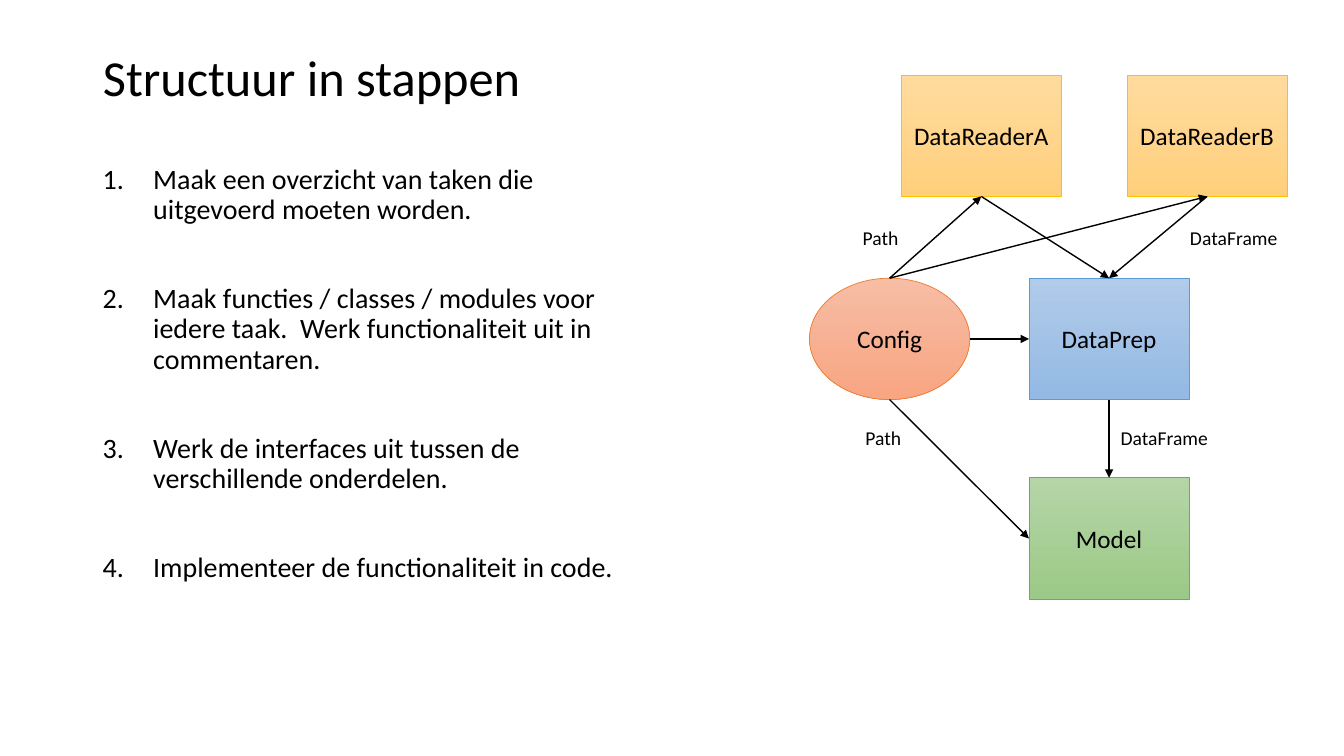
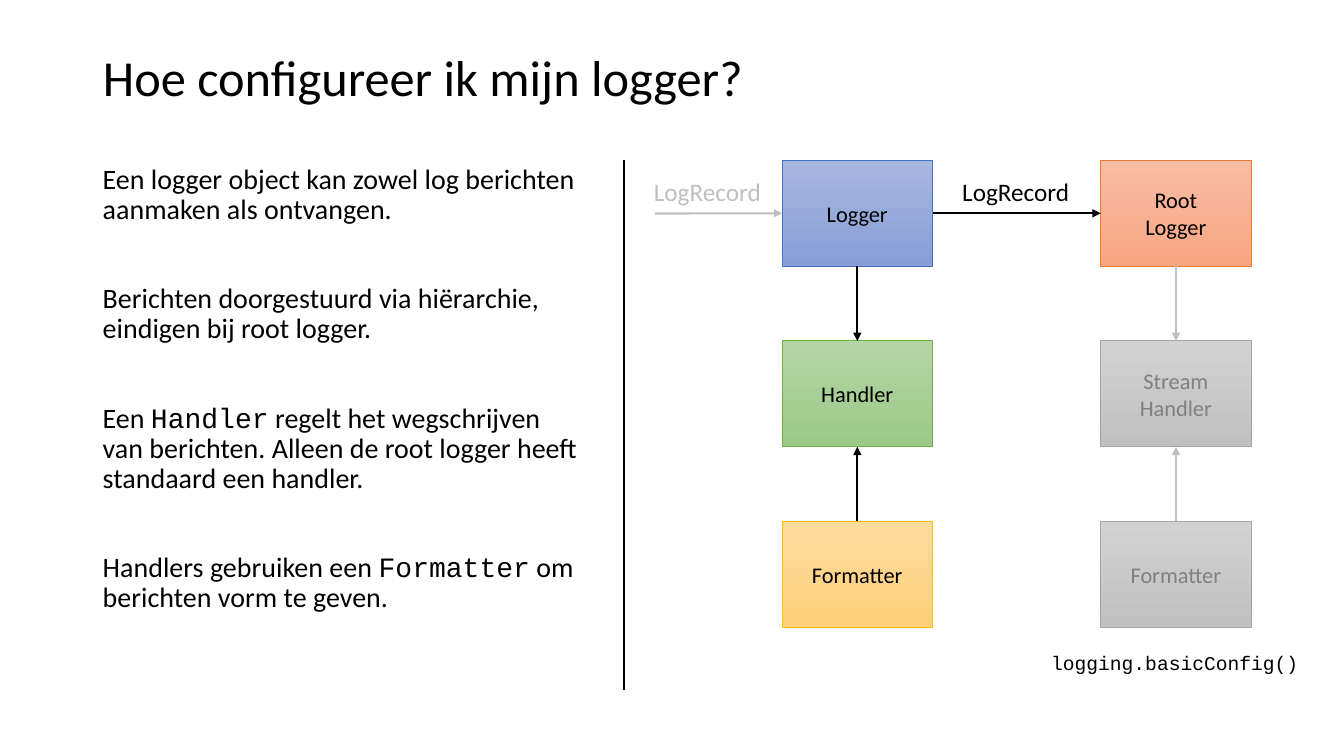
from dataclasses import dataclass
from enum import IntEnum
from typing import NamedTuple

from pptx import Presentation
from pptx.dml.color import RGBColor
from pptx.enum.shapes import MSO_CONNECTOR, MSO_SHAPE
from pptx.enum.text import MSO_ANCHOR as Anchor
from pptx.enum.text import MSO_AUTO_SIZE as AutoSize
from pptx.enum.text import PP_ALIGN as Align
from pptx.oxml.ns import qn
from pptx.oxml.xmlchemy import OxmlElement
from pptx.shapes.autoshape import Shape
from pptx.slide import Slide
from pptx.text.text import TextFrame
from pptx.util import Cm, Pt


# Theme
class Tint(NamedTuple):
    top: str
    bottom: str
    edge: str
    ink: str = "000000"


@dataclass(frozen=True)
class Theme:
    font: str = "Calibri"
    code_font: str = "Courier New"
    ink: str = "000000"
    faded: str = "BFBFBF"
    title_size: int = 36
    body_size: int = 20
    node_size: int = 18
    small_node_size: int = 16
    label_size: int = 14
    line_spacing: float = 0.9
    body_gap: int = 42
    yellow: Tint = Tint("FFDB9E", "FFD07C", "FFC000")
    blue: Tint = Tint("B1CBE9", "93B9E4", "5B9BD5")
    indigo: Tint = Tint("A8B7DF", "889ED7", "4472C4")
    green: Tint = Tint("B5D5A7", "9CC987", "70AD47")
    orange: Tint = Tint("F7BDA5", "F8A582", "ED7D31")
    grey: Tint = Tint("D2D2D2", "C0C0C0", "A5A5A5", "808080")


THEME = Theme()


# Parts of a diagram; lengths in centimetres
class Box(NamedTuple):
    left: float
    top: float
    width: float
    height: float


class Side(IntEnum):
    TOP = 0
    LEFT = 1
    BOTTOM = 2
    RIGHT = 3


class Point(NamedTuple):
    x: float
    y: float


class Port(NamedTuple):
    node: Shape
    side: Side


@dataclass(frozen=True)
class Node:
    text: str
    left: float
    top: float
    tint: Tint
    outline: MSO_SHAPE = MSO_SHAPE.RECTANGLE


@dataclass(frozen=True)
class Label:
    text: str
    box: Box
    size: int = THEME.label_size
    color: str = THEME.ink
    font: str = THEME.font


@dataclass(frozen=True)
class Link:
    start: Port | Point
    end: Port | Point
    color: str = THEME.ink
    weight: float = 1.5
    arrow: bool = True


TITLE_BOX = Box(2.34, 1.02, 29.21, 2.01)


# Text
def write_text(frame: TextFrame, text: str, *, size: int, color: str = THEME.ink,
               font: str = THEME.font, align: Align = Align.LEFT,
               anchor: Anchor = Anchor.TOP, wrap: bool = True,
               autosize: AutoSize = AutoSize.NONE, spacing: float = 1.0,
               gap: int = 0, numbered: bool = False) -> None:
    """Write one paragraph per line; words between backticks are set as code."""
    frame.word_wrap = wrap
    frame.auto_size = autosize
    frame.vertical_anchor = anchor
    for row, line in enumerate(text.split("\n")):
        paragraph = frame.add_paragraph() if row else frame.paragraphs[0]
        paragraph.alignment = align
        paragraph.line_spacing = spacing
        paragraph.space_before = Pt(gap if row else 0)
        for part, words in enumerate(line.split("`")):
            run = paragraph.add_run()
            run.text = words
            run.font.name = THEME.code_font if part % 2 else font
            run.font.size = Pt(size)
            run.font.color.rgb = RGBColor.from_string(color)
        if numbered:
            number_paragraph(paragraph)


def number_paragraph(paragraph) -> None:
    properties = paragraph._p.get_or_add_pPr()
    properties.set("marL", str(Cm(1.27)))
    properties.set("indent", str(-Cm(1.27)))
    numbering = OxmlElement("a:buAutoNum")
    numbering.set("type", "arabicPeriod")
    properties.append(numbering)


def add_text(slide: Slide, text: str, box: Box, **style) -> None:
    write_text(slide.shapes.add_textbox(*map(Cm, box)).text_frame, text, **style)


def add_label(slide: Slide, label: Label) -> None:
    add_text(slide, label.text, label.box, size=label.size, color=label.color,
             font=label.font, wrap=False, autosize=AutoSize.SHAPE_TO_FIT_TEXT)


def add_titled_slide(deck, title: str) -> Slide:
    slide = deck.slides.add_slide(deck.slide_layouts[5])
    heading = slide.shapes.title
    heading.left, heading.top, heading.width, heading.height = map(Cm, TITLE_BOX)
    write_text(heading.text_frame, title, size=THEME.title_size,
               anchor=Anchor.MIDDLE, spacing=THEME.line_spacing)
    return slide


def add_body(slide: Slide, text: str, width: float, numbered: bool = False) -> None:
    add_text(slide, text, Box(2.34, 4.04, width, 13.11), size=THEME.body_size,
             spacing=THEME.line_spacing, gap=THEME.body_gap, numbered=numbered)


# Nodes and links
def add_node(slide: Slide, node: Node, width: float, height: float, size: int) -> Shape:
    shape = slide.shapes.add_shape(
        node.outline, *map(Cm, Box(node.left, node.top, width, height)))
    shape.shadow.inherit = False
    shape.fill.gradient()
    shape.fill.gradient_angle = 270
    for stop, color in zip(shape.fill.gradient_stops, (node.tint.top, node.tint.bottom)):
        stop.color.rgb = RGBColor.from_string(color)
    shape.line.color.rgb = RGBColor.from_string(node.tint.edge)
    shape.line.width = Pt(0.5)
    write_text(shape.text_frame, node.text, size=size, color=node.tint.ink,
               align=Align.CENTER, anchor=Anchor.MIDDLE)
    return shape


def locate(end: Port | Point) -> tuple[int, int]:
    if isinstance(end, Point):
        return Cm(end.x), Cm(end.y)
    across, down = {Side.TOP: (1, 0), Side.LEFT: (0, 1),
                    Side.BOTTOM: (1, 2), Side.RIGHT: (2, 1)}[end.side]
    node = end.node
    return node.left + node.width * across // 2, node.top + node.height * down // 2


def add_link(slide: Slide, link: Link) -> None:
    connector = slide.shapes.add_connector(
        MSO_CONNECTOR.STRAIGHT, *locate(link.start), *locate(link.end))
    for end, join in ((link.start, connector.begin_connect),
                      (link.end, connector.end_connect)):
        if isinstance(end, Port) and end.node.auto_shape_type == MSO_SHAPE.RECTANGLE:
            join(end.node, int(end.side))
    connector.line.color.rgb = RGBColor.from_string(link.color)
    connector.line.width = Pt(link.weight)
    properties = connector.element.spPr
    if link.arrow:
        head = OxmlElement("a:tailEnd")
        head.set("type", "triangle")
        properties.find(qn("a:ln")).append(head)
    properties.append(OxmlElement("a:effectLst"))


# Slides
def build_steps(deck) -> None:
    slide = add_titled_slide(deck, "Structuur in stappen")
    add_body(slide, "Maak een overzicht van taken die uitgevoerd moeten worden.\n"
                    "Maak functies / classes / modules voor iedere taak.  "
                    "Werk functionaliteit uit in commentaren.\n"
                    "Werk de interfaces uit tussen de verschillende onderdelen.\n"
                    "Implementeer de functionaliteit in code.", 13.84, numbered=True)

    reader_a, reader_b, prep, model, config = (
        add_node(slide, node, 4.04, 3.06, THEME.node_size) for node in (
            Node("DataReaderA", 22.71, 1.89, THEME.yellow),
            Node("DataReaderB", 28.4, 1.89, THEME.yellow),
            Node("DataPrep", 25.93, 7.01, THEME.blue),
            Node("Model", 25.93, 12.04, THEME.green),
            Node("Config", 20.4, 7.01, THEME.orange, MSO_SHAPE.OVAL)))

    for start, leave, end, arrive, weight in (
            (reader_a, Side.BOTTOM, prep, Side.TOP, 1),
            (reader_b, Side.BOTTOM, prep, Side.TOP, 1),
            (prep, Side.BOTTOM, model, Side.TOP, 1.5),
            (config, Side.TOP, reader_a, Side.BOTTOM, 1),
            (config, Side.TOP, reader_b, Side.BOTTOM, 1),
            (config, Side.RIGHT, prep, Side.LEFT, 1),
            (config, Side.BOTTOM, model, Side.LEFT, 1)):
        add_link(slide, Link(Port(start, leave), Port(end, arrive), weight=weight))

    for text, left, top, width in (("Path", 21.49, 5.56, 1.42),
                                   ("DataFrame", 29.74, 5.56, 2.74),
                                   ("DataFrame", 27.99, 10.62, 2.74),
                                   ("Path", 21.56, 10.62, 1.42)):
        add_label(slide, Label(text, Box(left, top, width, 0.86)))


def build_logger(deck) -> None:
    slide = add_titled_slide(deck, "Hoe configureer ik mijn logger?")
    add_body(slide, "Een logger object kan zowel log berichten aanmaken als ontvangen.\n"
                    "Berichten doorgestuurd via hiërarchie, eindigen bij root logger.\n"
                    "Een `Handler` regelt het wegschrijven van berichten. "
                    "Alleen de root logger heeft standaard een handler.\n"
                    "Handlers gebruiken een `Formatter` om berichten vorm te geven.", 12.7)
    add_link(slide, Link(Point(15.72, 4.04), Point(15.72, 17.4), arrow=False))

    # Two columns of logger, handler and formatter
    first_row, row_pitch = 4.04, 4.55
    loggers = []
    for left, color, parts in (
            (19.71, THEME.ink, (("Logger", THEME.indigo), ("Handler", THEME.green),
                                ("Formatter", THEME.yellow))),
            (27.74, THEME.faded, (("Root\nLogger", THEME.orange),
                                  ("Stream\nHandler", THEME.grey),
                                  ("Formatter", THEME.grey)))):
        logger, handler, formatter = (
            add_node(slide, Node(text, left, first_row + row * row_pitch, tint),
                     3.79, 2.67, THEME.small_node_size)
            for row, (text, tint) in enumerate(parts))
        add_link(slide, Link(Port(logger, Side.BOTTOM), Port(handler, Side.TOP), color))
        add_link(slide, Link(Port(formatter, Side.TOP), Port(handler, Side.BOTTOM), color))
        loggers.append(logger)

    # Records passed along the hierarchy
    own_logger, root_logger = loggers
    for start, end, color, label_left in (
            (Point(16.51, 5.38), own_logger, THEME.faded, 16.23),
            (Port(own_logger, Side.RIGHT), root_logger, THEME.ink, 24)):
        add_link(slide, Link(start, Port(end, Side.LEFT), color))
        add_label(slide, Label("LogRecord", Box(label_left, 4.32, 3.25, 1.02),
                               THEME.node_size, color))
    add_label(slide, Label("logging.basicConfig()", Box(26.24, 16.28, 6.83, 0.86),
                           font=THEME.code_font))


def main() -> None:
    deck = Presentation()
    deck.slide_width, deck.slide_height = Cm(33.87), Cm(19.05)
    build_steps(deck)
    build_logger(deck)
    deck.save("out.pptx")


if __name__ == "__main__":
    main()
